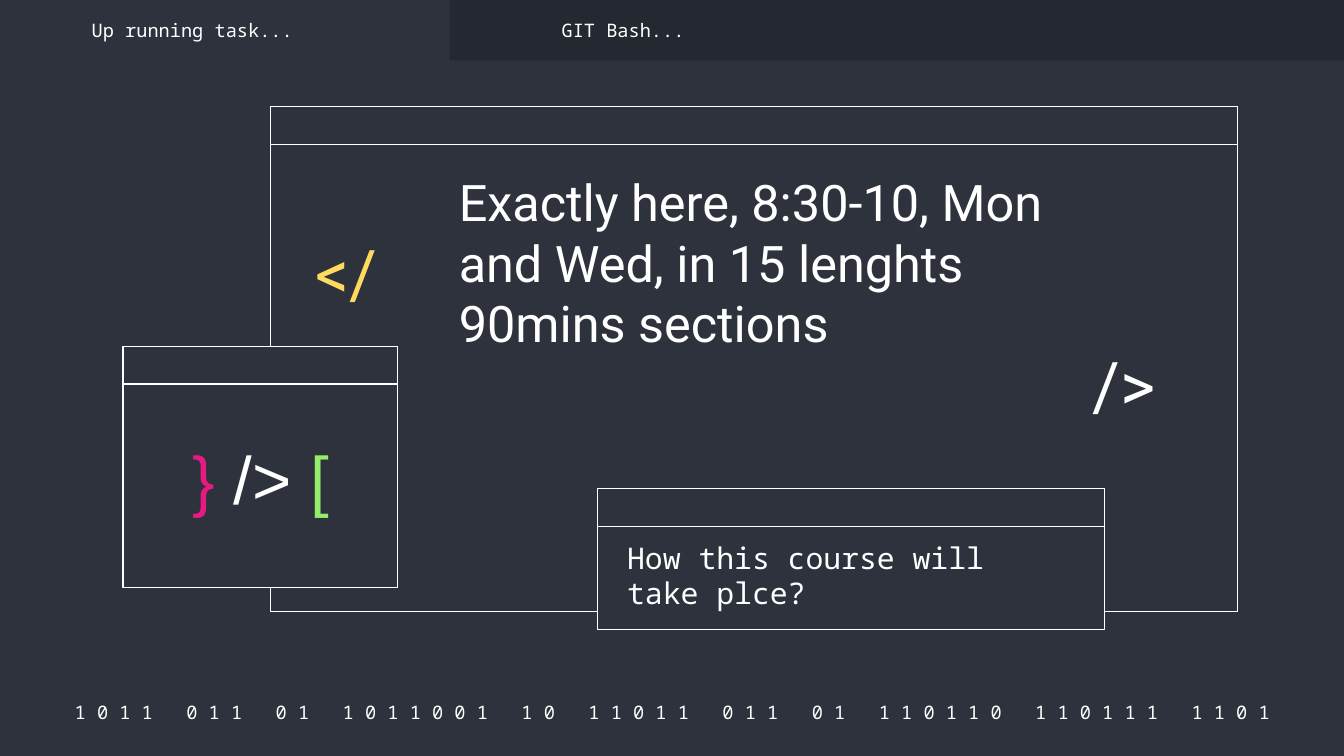
from typing import NamedTuple

from pptx import Presentation
from pptx import util as u
from pptx.dml.color import RGBColor
from pptx.enum import shapes, text

PX = u.Inches(0.01)
PAD = 13
BAR = 37
COLORS = {
    "back": "2D323C",
    "tab": "242830",
    "white": "FFFFFF",
    "gold": "FFDB5D",
    "pink": "E81981",
    "green": "94EE6B",
}
MONO, SANS, ARIAL = "Noto Sans Mono", "Roboto", "Arial"
LEFT, CENTER = text.PP_ALIGN.LEFT, text.PP_ALIGN.CENTER
TOP, MIDDLE, BOTTOM = (
    text.MSO_ANCHOR.TOP, text.MSO_ANCHOR.MIDDLE, text.MSO_ANCHOR.BOTTOM)
BITS = "1011 011 01 1011001 10 11011 011 01 110110 110111 1101"


class Box(NamedTuple):
    left: int
    top: int
    width: int
    height: int


class Style(NamedTuple):
    font: str
    size: float
    align: text.PP_ALIGN = LEFT
    anchor: text.MSO_ANCHOR = MIDDLE
    lead: float = 1.0
    after: int = 0


class Run(NamedTuple):
    words: str
    color: str = "white"


class Label(NamedTuple):
    box: Box
    style: Style
    runs: list[Run]


SMALL = Style(MONO, 13.3)
TAG = Style(SANS, 48, lead=0.9)
WINDOWS = [
    Box(268, 106, 959, 501),
    Box(593, 485, 503, 140),
    Box(122, 344, 272, 239),
]
TITLE = Label(Box(442, 188, 687, 175), Style(SANS, 36, anchor=BOTTOM),
              [Run("Exactly here, 8:30-10, Mon and Wed, in 15 lenghts 90mins sections")])
SUB = Label(Box(609, 522, 462, 99), Style(MONO, 21.3, anchor=TOP, after=16),
            [Run("How this course will take plce?")])
LABELS = [
    Label(Box(50, 693, 1236, 26), SMALL._replace(align=CENTER),
          [Run("   ".join(" ".join(group) for group in BITS.split()))]),
    Label(Box(78, 17, 292, 26), SMALL, [Run("Up running task...")]),
    Label(Box(544, 17, 292, 26), SMALL, [Run("GIT Bash...")]),
    Label(Box(300, 231, 102, 88), TAG, [Run("</", "gold")]),
    Label(Box(1071, 342, 102, 88), TAG, [Run("/>")]),
    Label(Box(170, 430, 177, 109), Style(ARIAL, 48, CENTER, TOP, 0.9),
          [Run("}", "pink"), Run(" /> "), Run("[", "green")]),
]


def rgb(name: str) -> RGBColor:
    return RGBColor.from_string(COLORS[name])


def place(box: Box) -> list[int]:
    return [side * PX for side in box]


def panel(slide, box: Box, fill: str, line: str | None = None) -> None:
    rect = slide.shapes.add_shape(shapes.MSO_SHAPE.RECTANGLE, *place(box))
    rect.shadow.inherit = False
    rect.fill.solid()
    rect.fill.fore_color.rgb = rgb(fill)
    if line:
        rect.line.color.rgb = rgb(line)
        rect.line.width = u.Pt(0.75)
    else:
        rect.line.fill.background()


def window(slide, box: Box) -> None:
    """Draw a framed pane with a title bar along its top."""
    for height in (box.height, BAR):
        panel(slide, box._replace(height=height), "back", "white")


def write(shape, label: Label) -> None:
    """Move a text shape to the label's box and fill it with its runs."""
    shape.left, shape.top, shape.width, shape.height = place(label.box)
    style, frame = label.style, shape.text_frame
    frame.word_wrap = True
    frame.auto_size = text.MSO_AUTO_SIZE.NONE
    frame.vertical_anchor = style.anchor
    frame.margin_left = frame.margin_right = PAD * PX
    frame.margin_top = frame.margin_bottom = PAD * PX
    para = frame.paragraphs[0]
    para.alignment = style.align
    para.line_spacing = style.lead
    para.space_before = u.Pt(0)
    para.space_after = u.Pt(style.after)
    para.font.name = style.font
    para.font.size = u.Pt(style.size)
    for words, color in label.runs:
        run = para.add_run()
        run.text = words
        run.font.color.rgb = rgb(color)


def main() -> None:
    deck = Presentation()
    deck.slide_width, deck.slide_height = u.Inches(13.33), u.Inches(7.5)
    slide = deck.slides.add_slide(deck.slide_layouts[0])
    slide.background.fill.solid()
    slide.background.fill.fore_color.rgb = rgb("back")

    panel(slide, Box(446, 0, 887, 60), "tab")
    for box in WINDOWS:
        window(slide, box)
    for shape, label in zip(list(slide.placeholders), (TITLE, SUB)):
        write(shape, label)
        slide.shapes.element.append(shape.element)  # above the windows
    for label in LABELS:
        write(slide.shapes.add_textbox(*place(label.box)), label)
    deck.save("out.pptx")


if __name__ == "__main__":
    main()
